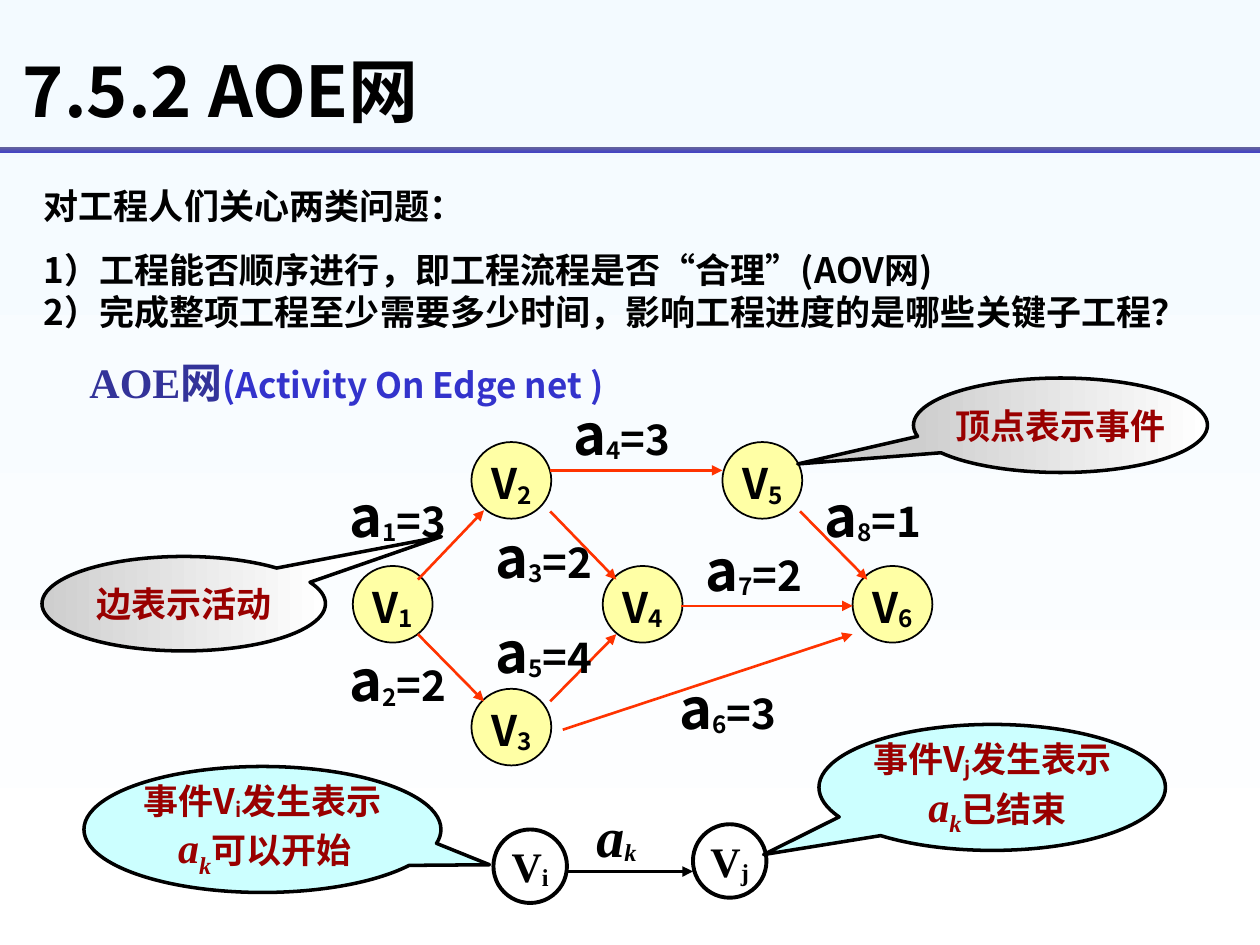
"""Build the slide that introduces the AOE network."""
from pptx import Presentation
from pptx.dml.color import RGBColor
from pptx.enum.shapes import MSO_CONNECTOR, MSO_SHAPE
from pptx.enum.text import MSO_ANCHOR, PP_ALIGN
from pptx.oxml.ns import qn
from pptx.util import Inches, Pt
from lxml import etree

OVAL, RECT = MSO_SHAPE.OVAL, MSO_SHAPE.RECTANGLE
CALLOUT, STRAIGHT = MSO_SHAPE.OVAL_CALLOUT, MSO_CONNECTOR.STRAIGHT
LEFT, CENTER = PP_ALIGN.LEFT, PP_ALIGN.CENTER
TOP, MIDDLE = MSO_ANCHOR.TOP, MSO_ANCHOR.MIDDLE
SANS, SERIF = "Noto Sans CJK SC", "Times New Roman"
INK = {
    "black": "000000", "node": "FFFFA5", "edge": "FF3300", "red": "990000",
    "cyan": "CCFFFF", "navy": "333399", "blue": "3333CC", "white": "FFFFFF",
    "gray": "CECECE", "sky": "F3FAFF", "slate": "666699", "bar": "4444C2",
}
RGB = {name: RGBColor.from_string(code) for name, code in INK.items()}

deck = Presentation()
deck.slide_width, deck.slide_height = Inches(10), Inches(7.5)
CELL = deck.slide_width / 120
slide = deck.slides.add_slide(deck.slide_layouts[6])
parts = slide.shapes


def write(shape, paras, size=20, font=SANS, color="black", align=CENTER,
          anchor=MIDDLE, wrap=False, before=0, line=None):
    frame = shape.text_frame
    frame.word_wrap, frame.vertical_anchor = wrap, anchor
    for n, runs in enumerate(paras):
        para = frame.add_paragraph() if n else frame.paragraphs[0]
        para.alignment, para.space_before = align, Pt(before)
        if line:
            para.line_spacing = Pt(line)
        for text, form in runs:
            for k, piece in enumerate(text.split("\n")):
                if k:
                    para.add_line_break()
                run = para.add_run()
                run.text = piece
                style = run.font
                style.size, style.bold = Pt(form.get("size", size)), True
                style.name = form.get("font", font)
                style.italic = form.get("italic", False)
                style.color.rgb = RGB[form.get("color", color)]
                props = run._r.get_or_add_rPr()
                etree.SubElement(props, qn("a:ea")).set("typeface", SANS)
                if "base" in form:
                    props.set("baseline", str(form["base"] * 1000))


def place(kind, spot, fill=None, angle=0, width=0):
    spot = [round(v * CELL) for v in spot]
    if kind is None:
        return parts.add_textbox(*spot)
    shape = parts.add_shape(kind, *spot)
    shape.shadow.inherit = False
    if fill is None:
        shape.fill.background()
    elif isinstance(fill, str):
        shape.fill.solid()
        shape.fill.fore_color.rgb = RGB[fill]
    else:
        shape.fill.gradient()
        shape.fill.gradient_angle = angle
        for stop, tone in zip(shape.fill.gradient_stops, fill):
            stop.color.rgb = RGB[tone]
    if width:
        shape.line.color.rgb = RGB["black"]
        shape.line.width = Pt(width)
    else:
        shape.line.fill.background()
    return shape


back = slide.background.fill
back.gradient()
back.gradient_angle = 270
for stop, tone in zip(back.gradient_stops, ("sky", "white")):
    stop.color.rgb = RGB[tone]

SUB = {"base": -10}
BIG = {"size": 24, "font": SERIF}
TILT = {**BIG, "italic": True}

intro = [
    [("对工程人们关心两类问题：", {})],
    [("1）工程能否顺序进行，即工程流程是否“合理”(AOV网)\n"
      "2）完成整项工程至少需要多少时间，影响工程进度的是哪些关键子工程？", {})],
]
write(place(None, (3, 17, 113, 15.4)), intro, align=LEFT, anchor=TOP,
      wrap=True, before=12.5, line=24)

cols = [33.6, 44.9, 57.4, 68.8, 81.2]
rows = [42.1, 53.9, 65.6]
nodes = [("3", 1, 2), ("1", 0, 1), ("4", 2, 1), ("6", 4, 1), ("5", 3, 0), ("2", 1, 0)]
for num, c, r in nodes:
    x, y = cols[c], rows[r]
    place(OVAL, (x, y, 7.6, 7.3), "node", width=1)
    write(place(None, (x + 0.7, y + 0.6, 6.7, 6.1)), [[("V", {}), (num, SUB)]],
          size=24, align=LEFT, anchor=TOP, wrap=True, before=15, line=31)

arrows = [
    (39.8, 55.2, 46.1, 48.6), (52.4, 44.8, 68.8, 44.8),
    (52.4, 66.8, 58.7, 60.4), (39.8, 60.4, 46.1, 66.8),
    (52.4, 48.7, 58.7, 55.2), (64.9, 57.7, 81.2, 57.7),
    (53.6, 69.5, 81.2, 60.4), (76.2, 48.7, 82.6, 55.2),
]
paths = [(ends, "edge", 1.5) for ends in arrows] + [((54, 83, 66, 83), "black", 2)]
for ends, tone, width in paths:
    link = parts.add_connector(STRAIGHT, *[round(v * CELL) for v in ends])
    link.line.color.rgb, link.line.width = RGB[tone], Pt(width)
    etree.SubElement(link.line._get_or_add_ln(), qn("a:tailEnd")).set("type", "triangle")
    etree.SubElement(link._element.spPr, qn("a:effectLst"))

costs = [
    ("4", "3", 52.3, 37), ("1", "3", 31, 44.8), ("2", "2", 31, 60.5),
    ("6", "3", 62.4, 63.1), ("5", "4", 44.9, 57.8), ("3", "2", 44.9, 48.7),
    ("7", "2", 64.9, 50), ("8", "1", 76.2, 44.8),
]
for num, cost, x, y in costs:
    label = [("a", {"size": 32}), (num, SUB), ("=" + cost, {})]
    write(place(None, (x, y, 13.8, 7.7)), [label], size=24, anchor=TOP,
          wrap=True, before=15, line=41)

fade = ("white", "gray")
start = [("事件V", {}), ("i", {"base": -8}), ("发生表示", {})]
begin = [(" ", BIG), ("a", TILT), ("k", {**TILT, "base": -25}),
         ("可以开始", {}), (" ", {**TILT, "base": -25})]
reach = [("事件V", {}), ("j", SUB), ("发生表示", {})]
done = [(" ", BIG), ("a", TILT), ("k", {**TILT, "base": -25}), ("已结束", {})]
notes = [
    ((87, 36, 28, 9), fade, (-0.894, 0.41), [[("顶点表示事件", {})]]),
    ((4, 53, 27, 9), fade, (0.909, -0.711), [[("边表示活动", {})]]),
    ((78, 69, 33, 12), "cyan", (-0.66, 0.533), [reach, done]),
    ((8, 73, 34, 12), "cyan", (0.636, 0.28), [start, begin]),
]
for spot, fill, tip, paras in notes:
    note = place(CALLOUT, spot, fill, 180, 2)
    note.adjustments[0], note.adjustments[1] = tip
    write(note, paras, color="red")

write(place(None, (51, 77, 16, 5)),
      [[("a", {"size": 32, "italic": True}), ("k ", {"base": -10, "italic": True})]],
      size=24, font=SERIF)
for sub, x, y in (("j", 66, 78.5), ("i", 47, 79)):
    write(place(OVAL, (x, y, 7, 7), width=2.25), [[("V", {}), (sub, SUB)]],
          size=24, font=SERIF, before=15)

term = [("AOE网", {**BIG, "color": "navy"}), ("(Activity On Edge net )", {})]
write(place(None, (4, 33, 58, 6)), [term], color="blue", anchor=TOP,
      wrap=True, before=12.5, line=31)
write(place(None, (1, 4, 104, 9)), [[("7.5.2 AOE网", {})]], size=40,
      align=LEFT, wrap=True)
place(RECT, (0, 14, 120, 0.5), ("slate", "bar"), 270)

deck.save("out.pptx")
